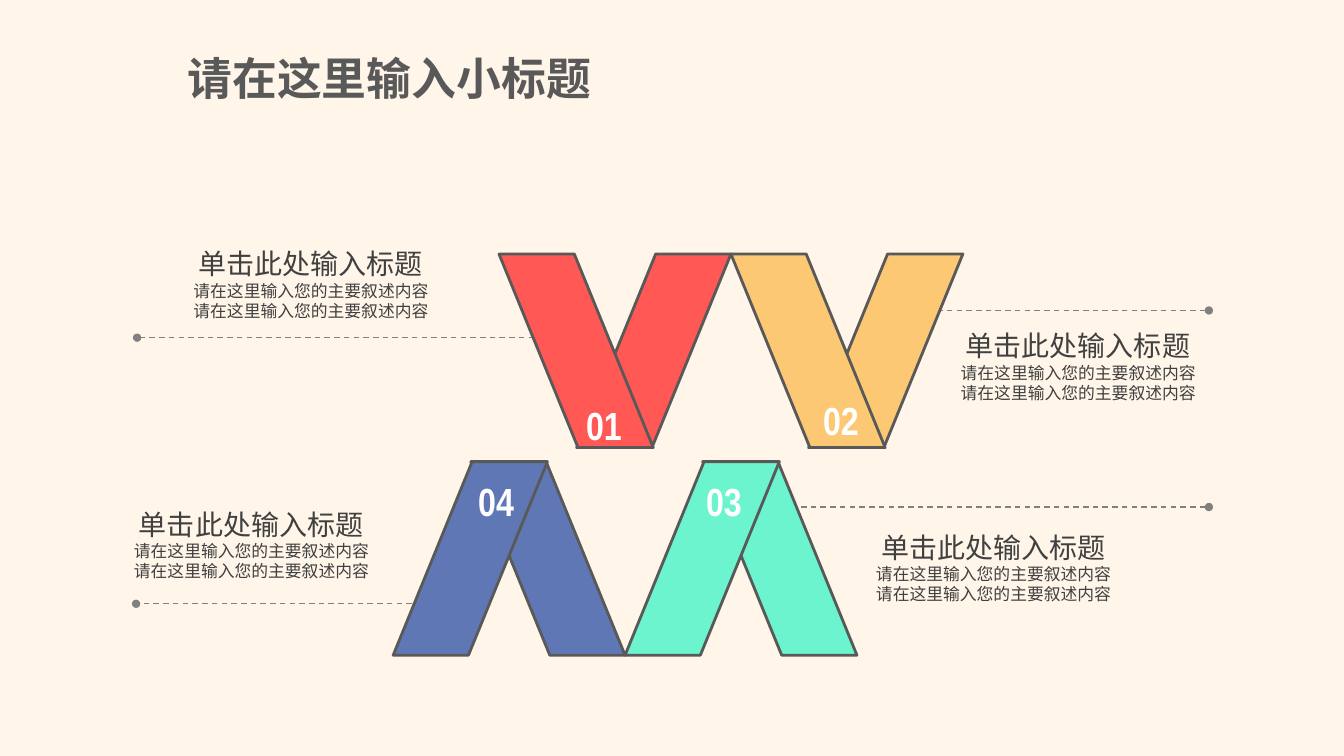
from lxml import etree
from pptx import Presentation
from pptx import util as u
from pptx.dml.color import RGBColor
from pptx.enum import dml, shapes, text
from pptx.oxml import ns


def color(hex_code):
    return RGBColor.from_string(hex_code)


class Deck:
    CJK, NUMERAL = "Noto Sans CJK SC", "Arial Narrow"
    BACKGROUND, OUTLINE, LEADER = "FFF5E9", "595959", "808080"
    BODY, WHITE = "404040", "FFFFFF"
    ARM_WIDTH, ARM_HEIGHT, ARM_STEP, SLANT = 1.53, 1.92, 0.77, 0.512

    def __init__(self):
        self.prs = Presentation()
        self.prs.slide_width = u.Inches(13.33)
        self.prs.slide_height = u.Inches(7.5)
        self.slide = self.prs.slides.add_slide(self.prs.slide_layouts[5])
        fill = self.slide.background.fill
        fill.solid()
        fill.fore_color.rgb = color(self.BACKGROUND)

    def run(self, paragraph, words, size, font, ink, bold=False):
        run = paragraph.add_run()
        run.text = words
        run.font.size = u.Pt(size)
        run.font.bold = bold
        run.font.name = font
        run.font.color.rgb = color(ink)
        east_asian = etree.SubElement(run.font._element, ns.qn("a:ea"))
        east_asian.set("typeface", font)

    def title(self, words, left, top, width, height):
        heading = self.slide.shapes.title
        heading.left, heading.top = u.Inches(left), u.Inches(top)
        heading.width, heading.height = u.Inches(width), u.Inches(height)
        frame = heading.text_frame
        frame.word_wrap = False
        frame.auto_size = text.MSO_AUTO_SIZE.NONE
        frame.vertical_anchor = text.MSO_ANCHOR.MIDDLE
        frame.margin_top = frame.margin_bottom = 0
        paragraph = frame.paragraphs[0]
        paragraph.alignment = text.PP_ALIGN.LEFT
        self.run(paragraph, words, 32, self.CJK, self.OUTLINE, True)

    def leader(self, start, end, y):
        """Dashed line with a dot at each end."""
        line = self.slide.shapes.add_connector(
            shapes.MSO_CONNECTOR.STRAIGHT,
            u.Inches(start), u.Inches(y), u.Inches(end), u.Inches(y))
        line.line.color.rgb = color(self.LEADER)
        line.line.width = u.Pt(1)
        line.line.dash_style = dml.MSO_LINE.DASH
        properties = line._element.spPr
        outline = properties.find(ns.qn("a:ln"))
        for tag in ("a:headEnd", "a:tailEnd"):
            etree.SubElement(outline, ns.qn(tag)).set("type", "oval")
        etree.SubElement(properties, ns.qn("a:effectLst"))

    def arm(self, left, top, fill, flipped):
        arm = self.slide.shapes.add_shape(
            shapes.MSO_SHAPE.PARALLELOGRAM, u.Inches(left), u.Inches(top),
            u.Inches(self.ARM_WIDTH), u.Inches(self.ARM_HEIGHT))
        arm.adjustments[0] = self.SLANT
        arm.shadow.inherit = False
        arm.fill.solid()
        arm.fill.fore_color.rgb = color(fill)
        arm.line.color.rgb = color(self.OUTLINE)
        arm.line.width = u.Pt(2)
        if flipped:
            arm._element.spPr.find(ns.qn("a:xfrm")).set("flipH", "1")

    def ribbon(self, left, top, fill, upright):
        """Two arms folded into a V, or an inverted V; the left arm is in front."""
        self.arm(left + self.ARM_STEP, top, fill, upright)
        self.arm(left, top, fill, not upright)

    def textbox(self, left, top, width, height):
        box = self.slide.shapes.add_textbox(
            u.Inches(left), u.Inches(top), u.Inches(width), u.Inches(height))
        return box.text_frame

    def number(self, words, left, top):
        frame = self.textbox(left, top, 0.92, 0.57)
        frame.word_wrap = True
        paragraph = frame.paragraphs[0]
        paragraph.alignment = text.PP_ALIGN.CENTER
        self.run(paragraph, words, 28, self.NUMERAL, self.WHITE, True)

    def caption(self, heading, details, left, top):
        frame = self.textbox(left, top, 2.56, 1.38)
        frame.word_wrap = False
        frame.margin_top = u.Inches(0.07)
        paragraph = frame.paragraphs[0]
        paragraph._p.get_or_add_pPr().set("marL", str(u.Inches(0.05)))
        paragraph.line_spacing = u.Pt(24)
        self.run(paragraph, heading, 20, self.CJK, self.BODY)
        for detail in details:
            paragraph = frame.add_paragraph()
            paragraph.line_spacing = u.Pt(14.4)
            self.run(paragraph, detail, 12, self.CJK, self.BODY)


def main():
    deck = Deck()
    deck.title("请在这里输入小标题", 1.76, 0.45, 4.26, 0.64)

    # Leader lines, behind the ribbons
    for start, end, y in ((5.72, 1.36, 3.35), (4.41, 1.35, 5.99),
                          (11.99, 8.93, 3.08), (11.99, 7.75, 5.03)):
        deck.leader(start, end, y)

    # Ribbons with their numbers
    ribbons = (
        ("01", "FF5855", 4.95, 2.52, False, 5.53, 3.93),
        ("02", "FDC873", 7.25, 2.52, False, 7.88, 3.88),
        ("03", "6BF4CD", 6.2, 4.58, True, 6.72, 4.69),
        ("04", "6077B6", 3.9, 4.58, True, 4.46, 4.69),
    )
    for label, fill, left, top, upright, label_left, label_top in ribbons:
        deck.ribbon(left, top, fill, upright)
        deck.number(label, label_left, label_top)

    # Captions
    details = ["请在这里输入您的主要叙述内容"] * 2
    for left, top in ((1.82, 2.38), (1.23, 4.96), (9.43, 3.19), (8.59, 5.19)):
        deck.caption("单击此处输入标题", details, left, top)

    deck.prs.save("out.pptx")


if __name__ == "__main__":
    main()
